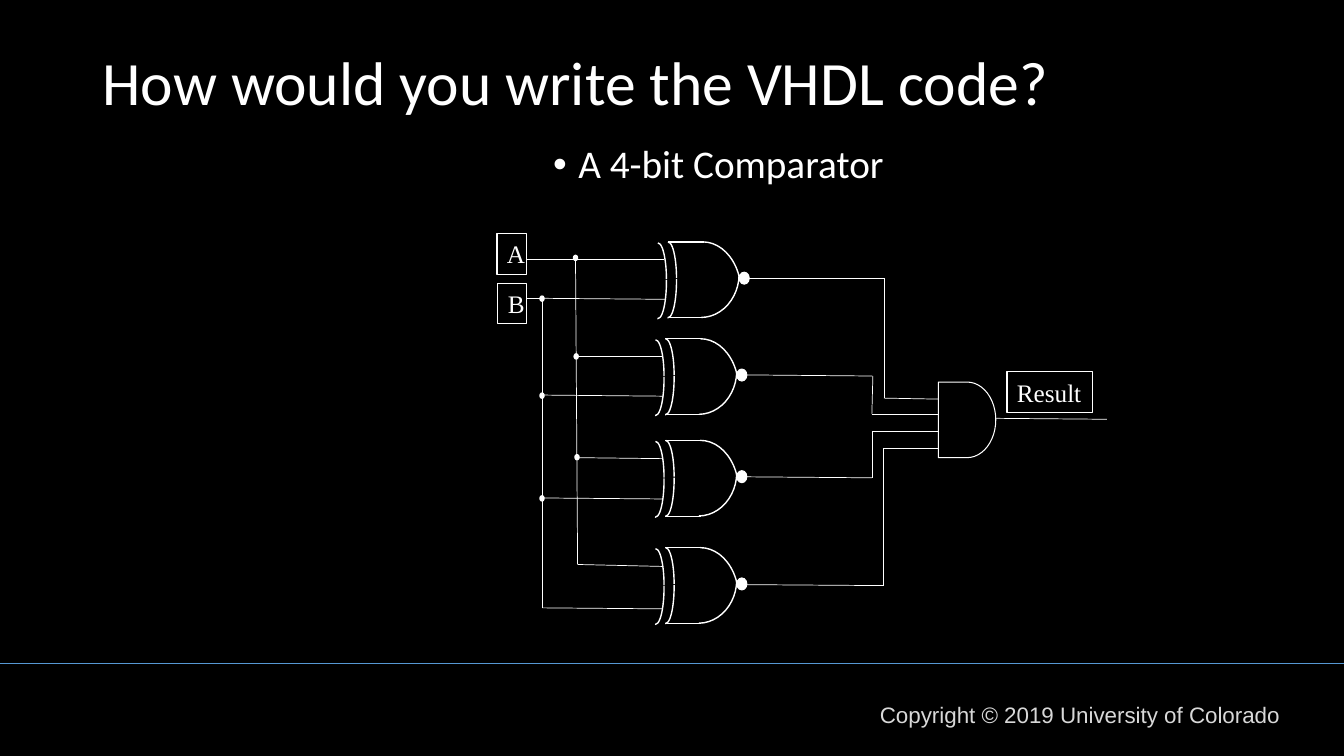
"""Builds a slide showing the logic diagram of a 4-bit comparator."""
from lxml import etree
from pptx import Presentation
from pptx.dml.color import RGBColor
from pptx.enum.shapes import MSO_CONNECTOR, MSO_SHAPE
from pptx.enum.text import MSO_ANCHOR, MSO_AUTO_SIZE, PP_ALIGN
from pptx.oxml.ns import qn
from pptx.util import Pt

BLACK = RGBColor(0x00, 0x00, 0x00)
WHITE = RGBColor(0xFF, 0xFF, 0xFF)
GREY = RGBColor(0xD8, 0xD8, 0xD8)
BLUE = RGBColor(0x56, 0x98, 0xD3)
STRAIGHT = MSO_CONNECTOR.STRAIGHT
ARC, RECT, OVAL = MSO_SHAPE.ARC, MSO_SHAPE.RECTANGLE, MSO_SHAPE.OVAL
DELAY, NODE = MSO_SHAPE.FLOWCHART_DELAY, MSO_SHAPE.FLOWCHART_CONNECTOR
LEFT, MIDDLE, TOP = PP_ALIGN.LEFT, MSO_ANCHOR.MIDDLE, MSO_ANCHOR.TOP
NO_FIT = MSO_AUTO_SIZE.NONE

prs = Presentation()
prs.slide_width, prs.slide_height = Pt(960), Pt(540)
s = prs.slides.add_slide(prs.slide_layouts[5])
s.background.fill.solid()
s.background.fill.fore_color.rgb = BLACK


def add_line(x1, y1, x2, y2, width=0.5, color=WHITE):
    line = s.shapes.add_connector(STRAIGHT, Pt(x1), Pt(y1), Pt(x2), Pt(y2))
    line.line.width = Pt(width)
    line.line.color.rgb = color
    etree.SubElement(line._element.spPr, qn("a:effectLst"))


def add_outline(kind, x, y, w, h, width=0.75, filled=False):
    sp = s.shapes.add_shape(kind, Pt(x), Pt(y), Pt(w), Pt(h))
    sp.shadow.inherit = False
    sp.line.width = Pt(width)
    sp.line.color.rgb = WHITE
    if filled:
        sp.fill.solid()
        sp.fill.fore_color.rgb = WHITE
    else:
        sp.fill.background()
    return sp


add_line(0, 474, 960, 474, 1, BLUE)

title = s.shapes.title
title.left, title.top, title.width, title.height = Pt(66), Pt(28.8), Pt(828), Pt(64.8)
bullet = s.shapes.add_textbox(Pt(388), Pt(100), Pt(522), Pt(363.6))
footer = s.shapes.add_textbox(Pt(621.4), Pt(497.5), Pt(338.4), Pt(26.6))
for sp, text, size, font, color, anchor in (
    (title, "How would you write the VHDL code?", 44, "Calibri", WHITE, MIDDLE),
    (bullet, "A 4-bit Comparator", 28, "Calibri", WHITE, TOP),
    (footer, "Copyright © 2019 University of Colorado", 16, "Arial", GREY, TOP),
):
    tf = sp.text_frame
    tf.text = text
    tf.word_wrap = True
    tf.auto_size = NO_FIT
    tf.vertical_anchor = anchor
    p = tf.paragraphs[0]
    p.alignment = LEFT
    p.font.size, p.font.name, p.font.color.rgb = Pt(size), font, color

title.text_frame.paragraphs[0].line_spacing = 0.9
p = bullet.text_frame.paragraphs[0]
p.line_spacing, p.space_before = 0.9, Pt(10)
pPr = p._p.get_or_add_pPr()
pPr.set("marL", str(Pt(18)))
pPr.set("indent", str(-Pt(18)))
mark_font = etree.Element(qn("a:buFont"), typeface="Arial")
mark = etree.Element(qn("a:buChar"), char="•")
for offset, element in enumerate((mark_font, mark)):
    pPr.insert(2 + offset, element)

gate_arcs = (
    (7.2, 0, 12.2, 51.8, 162, 0),
    (7.2, 1.6, 12.2, 52.6, 208.69, 54.46),
    (0, 0.7, 12.2, 51.8, 162, 0),
    (0, 2.2, 12.2, 52.6, 208.69, 54.46),
    (10.8, 0, 54.7, 72, 162, 204.32),
    (9.4, -8.6, 54.7, 62.6, 1.09, 53.58),
)
for gate_x, gate_y in ((463.9, 172.8), (462.2, 242), (462.2, 314.6), (462.2, 391.2)):
    for x, y, w, h, start, end in gate_arcs:
        sp = add_outline(ARC, gate_x + x, gate_y + y, w, h, 1)
        sp.adjustments[0], sp.adjustments[1] = start, end
    for edge in (0, 54.2):
        add_line(gate_x + 13.1, gate_y + edge, gate_x + 38.8, gate_y + edge, 1)
    add_outline(NODE, gate_x + 64.1, gate_y + 21.6, 7.2, 8.6, filled=True)

add_outline(DELAY, 670.3, 272.9, 41, 54)

input_wires = (
    (376.6, 185, 474.5, 185), (388, 213.1, 475.2, 213.8),
    (411.8, 254.9, 473, 254.9), (388, 282.2, 473.8, 283),
    (411.8, 326.9, 473, 327.6), (387.4, 355.7, 473, 356.4),
    (412.6, 403.2, 473, 404.6), (387.4, 434.2, 473, 434.9),
    (387.4, 434.2, 387.4, 213.1), (412.6, 403.2, 411.1, 185),
    (376.6, 213.1, 386, 213.1),
)
output_wires = (
    (535, 198.7, 631.4, 198.7), (631.4, 284.4, 631.4, 198.7), (631.4, 284.4, 670.3, 285.1),
    (532.8, 267.8, 623.2, 268.6), (622.8, 295.9, 623.5, 268.6), (622.8, 295.9, 670.3, 295.9),
    (532.8, 340.6, 622.8, 341.3), (622.8, 341.3, 622.8, 308.2), (622.8, 308.2, 670.3, 308.2),
    (532.8, 417.6, 630.7, 418.3), (630.7, 418.3, 630.7, 320.4), (630.7, 320.4, 670.3, 320.4),
    (711.4, 298.8, 790.6, 299.5),
)
for wire in input_wires + output_wires:
    add_line(*wire)

for x, y in ((411.1, 184.2), (411.6, 254.6), (412.2, 326.6),
             (387.2, 213.3), (387.2, 282.6), (387.2, 356)):
    add_outline(OVAL, x - 1.45, y - 1.8, 2.9, 3.6, 1, filled=True)

for text, x, y, w in (("A", 355, 167, 20.9), ("B", 355.7, 202.3, 20.2), ("Result", 719.3, 265.7, 61.2)):
    sp = add_outline(RECT, x, y, w, 28.8)
    tf = sp.text_frame
    tf.text = text
    tf.margin_right = 0
    tf.vertical_anchor = TOP
    p = tf.paragraphs[0]
    p.alignment = LEFT
    p.font.size, p.font.name, p.font.color.rgb = Pt(18), "Times New Roman", WHITE

prs.save("out.pptx")
